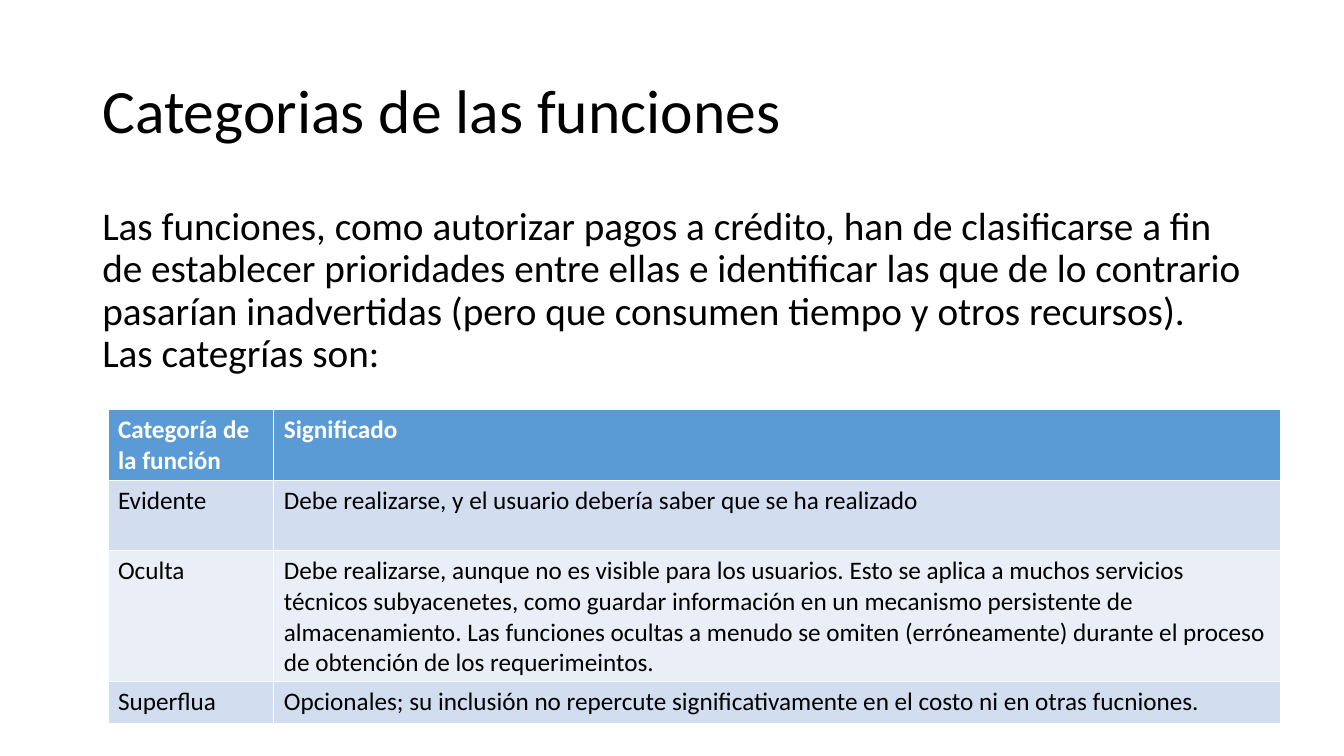
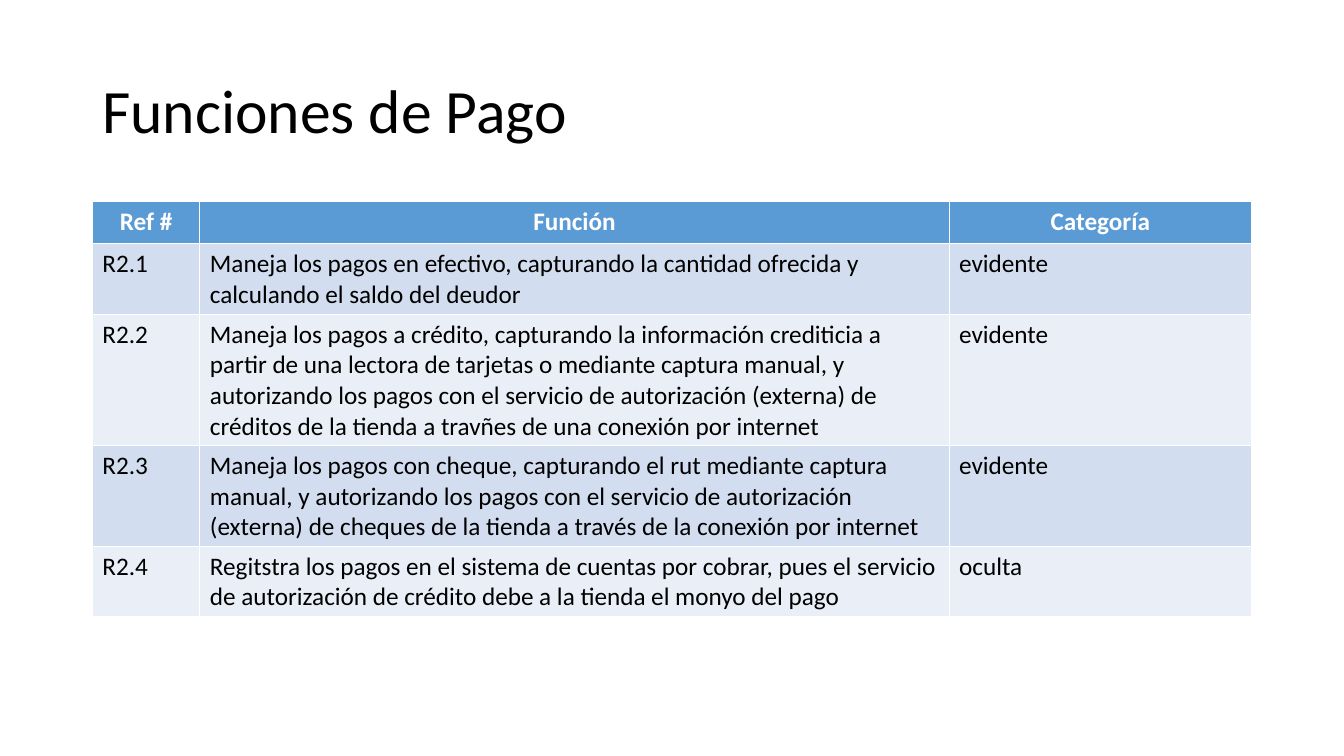
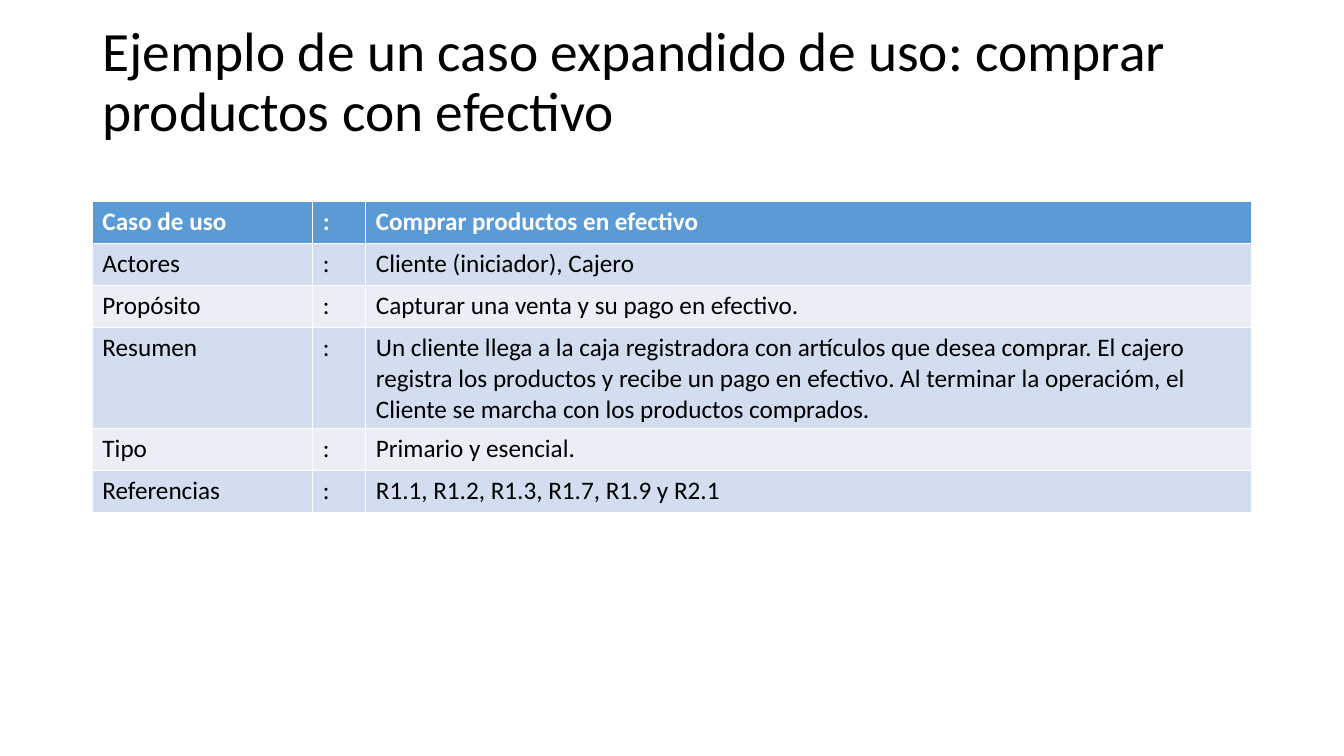
from pptx import Presentation
from pptx.dml.color import RGBColor
from pptx.enum.text import MSO_ANCHOR, PP_ALIGN
from pptx.util import Inches, Pt

BLACK = RGBColor(0x00, 0x00, 0x00)
WHITE = RGBColor(0xFF, 0xFF, 0xFF)
HEADER = RGBColor(0x5B, 0x9B, 0xD5)
BANDS = RGBColor(0xD2, 0xDE, 0xEF), RGBColor(0xEA, 0xEF, 0xF7)
FONT = "Calibri"

CELL = Inches(1) / 12
COLS, ROWS = 160, 90
MARGIN, CONTENT = 11, 138
TITLE_TOP, TITLE_ROWS = 4.8, 17.4
BODY_TOP, BODY_ROWS = 24, 57.1
TABLE_ROW = 5

TITLE_FORMAT = {"name": FONT, "size": Pt(44)}
LONG_TITLE_FORMAT = {"name": FONT, "size": Pt(39.6)}
BODY_FORMAT = {"name": FONT, "size": Pt(28)}
HEADER_FORMAT = {"name": FONT, "size": Pt(18), "bold": True}
CELL_FORMAT = {"name": FONT, "size": Pt(18), "bold": False}

CATEGORIES = [
    ("Categoría de la función", "Significado"),
    ("Evidente", "Debe realizarse, y el usuario debería saber que se ha realizado"),
    ("Oculta", "Debe realizarse, aunque no es visible para los usuarios. Esto se aplica a muchos "
     "servicios técnicos subyacenetes, como guardar información en un mecanismo persistente de "
     "almacenamiento. Las funciones ocultas a menudo se omiten (erróneamente) durante el proceso "
     "de obtención de los requerimeintos."),
    ("Superflua", "Opcionales; su inclusión no repercute significativamente en el costo ni en "
     "otras fucniones."),
]
PAYMENTS = [
    ("Ref #", "Función", "Categoría"),
    ("R2.1", "Maneja los pagos en efectivo, capturando la cantidad ofrecida y calculando el saldo "
     "del deudor", "evidente"),
    ("R2.2", "Maneja los pagos a crédito, capturando la información crediticia a partir de una "
     "lectora de tarjetas o mediante captura manual, y autorizando los pagos con el servicio de "
     "autorización (externa) de créditos de la tienda a travñes de una conexión por internet",
     "evidente"),
    ("R2.3", "Maneja los pagos con cheque, capturando el rut mediante captura manual, y "
     "autorizando los pagos con el servicio de autorización (externa) de cheques de la tienda a "
     "través de la conexión por internet", "evidente"),
    ("R2.4", "Regitstra los pagos en el sistema de cuentas por cobrar, pues el servicio de "
     "autorización de crédito debe a la tienda el monyo del pago", "oculta"),
]
USE_CASE = [(label, ":", value) for label, value in (
    ("Caso de uso", "Comprar productos en efectivo"),
    ("Actores", "Cliente (iniciador), Cajero"),
    ("Propósito", "Capturar una venta y su pago en efectivo."),
    ("Resumen", "Un cliente llega a la caja registradora con artículos que desea comprar. El "
     "cajero registra los productos y recibe un pago en efectivo. Al terminar la operacióm, el "
     "Cliente se marcha con los productos comprados."),
    ("Tipo", "Primario y esencial."),
    ("Referencias", "R1.1, R1.2, R1.3, R1.7, R1.9 y R2.1"),
)]


def grid(*cells):
    """Turn grid cells into slide lengths."""
    return [round(n * CELL) for n in cells]


def write(tf, text, fmt, color, align=PP_ALIGN.LEFT, spacing=None):
    """Write one formatted paragraph into a text frame."""
    p = tf.paragraphs[0]
    p.alignment, p.line_spacing = align, spacing
    r = p.add_run()
    r.text = text
    for key, value in fmt.items():
        setattr(r.font, key, value)
    r.font.color.rgb = color


def add_text(s, box, text, fmt, anchor=MSO_ANCHOR.TOP):
    """Add a wrapped text box in the given grid box."""
    tf = s.shapes.add_textbox(*grid(*box)).text_frame
    tf.word_wrap, tf.vertical_anchor = True, anchor
    write(tf, text, fmt, BLACK, spacing=0.9)


def add_title(s, text, fmt=TITLE_FORMAT, top=TITLE_TOP):
    """Add the slide title, centred vertically in its band."""
    add_text(s, (MARGIN, top, CONTENT, TITLE_ROWS), text, fmt, MSO_ANCHOR.MIDDLE)


def add_banded_table(s, left, top, widths, data, header_align=PP_ALIGN.LEFT, tall_rows=()):
    """Add a table with a header row and alternating bands."""
    heights = [8.4 if i in tall_rows else TABLE_ROW for i in range(len(data))]
    box = grid(left, top, sum(widths), sum(heights))
    table = s.shapes.add_table(len(data), len(widths), *box).table
    for column, width in zip(table.columns, grid(*widths)):
        column.width = width
    for i, (row, height, texts) in enumerate(zip(table.rows, grid(*heights), data)):
        row.height = height
        for cell, text in zip(row.cells, texts):
            cell.fill.solid()
            if i == 0:
                cell.fill.fore_color.rgb = HEADER
                write(cell.text_frame, text, HEADER_FORMAT, WHITE, header_align)
            else:
                cell.fill.fore_color.rgb = BANDS[(i - 1) % 2]
                write(cell.text_frame, text, CELL_FORMAT, BLACK)


def categories_slide(s):
    """Explain the categories of functions."""
    add_title(s, "Categorias de las funciones")
    add_text(s, (MARGIN, BODY_TOP, CONTENT, BODY_ROWS),
             "Las funciones, como autorizar pagos a crédito, han de clasificarse a fin de "
             "establecer prioridades entre ellas e identificar las que de lo contrario pasarían "
             "inadvertidas (pero que consumen tiempo y otros recursos). Las categrías son:",
             BODY_FORMAT)
    add_banded_table(s, 12.85, 48.75, (19.75, 119.9), CATEGORIES, tall_rows=(1,))


def payments_slide(s):
    """List the payment functions."""
    add_title(s, "Funciones de Pago")
    add_banded_table(s, MARGIN, BODY_TOP, (12.8, 89.2, 36), PAYMENTS, PP_ALIGN.CENTER)


def use_case_slide(s):
    """Show an expanded use case."""
    add_title(s, "Ejemplo de un caso expandido de uso: comprar productos con efectivo",
              LONG_TITLE_FORMAT, top=1.2)
    add_banded_table(s, MARGIN, BODY_TOP, (26.25, 6.3, 105.45), USE_CASE)


def main():
    """Build and save the presentation."""
    prs = Presentation()
    prs.slide_width, prs.slide_height = grid(COLS, ROWS)
    for build in (categories_slide, payments_slide, use_case_slide):
        build(prs.slides.add_slide(prs.slide_layouts[6]))
    prs.save("out.pptx")


if __name__ == "__main__":
    main()
